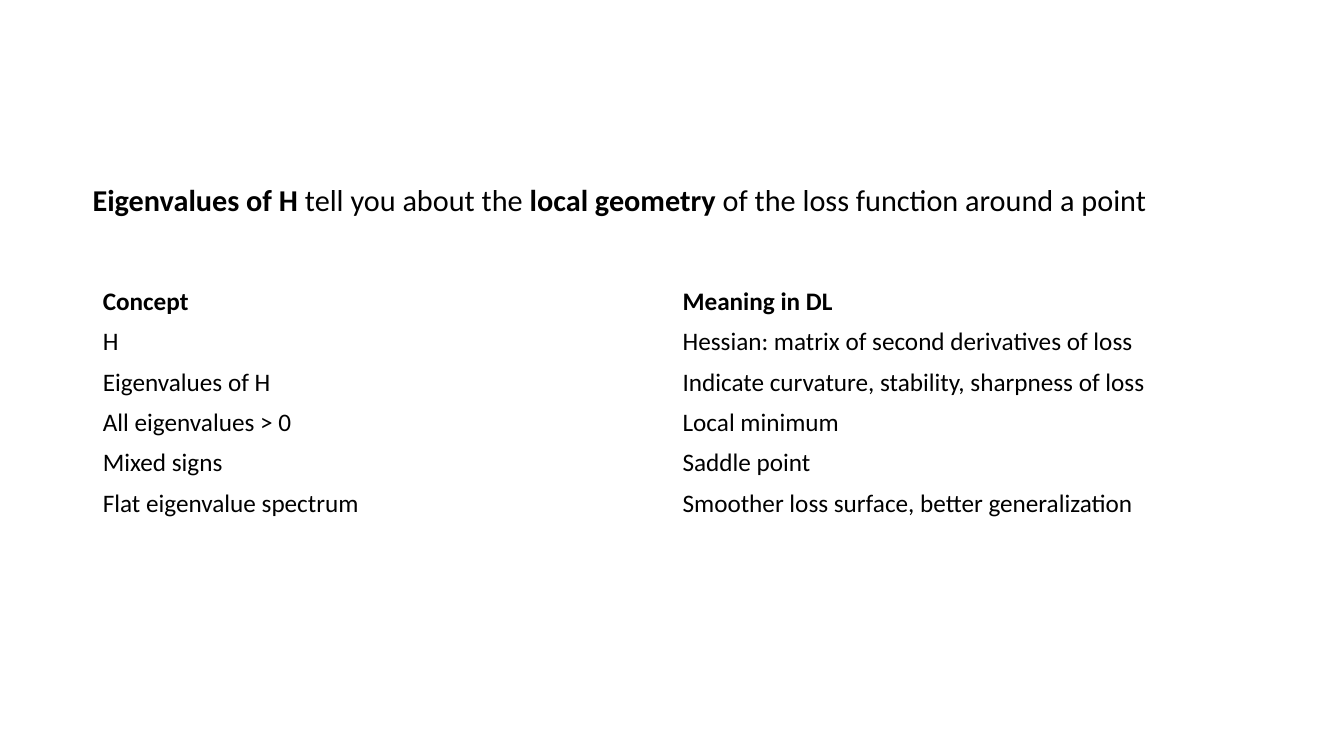
from dataclasses import dataclass

from pptx import Presentation
from pptx.dml.color import RGBColor
from pptx.enum import text
from pptx.slide import Slide
from pptx.text.text import Font
from pptx.util import Inches, Pt

BLACK = "000000"


@dataclass(frozen=True)
class Phrase:
    words: str
    bold: bool = False


@dataclass(frozen=True)
class Entry:
    concept: str
    meaning: str


HEADLINE = (
    Phrase("Eigenvalues of H", True),
    Phrase(" tell you about the "),
    Phrase("local geometry", True),
    Phrase(" of the loss function around a point"),
)
ENTRIES = (
    Entry("Concept", "Meaning in DL"),
    Entry("H", "Hessian: matrix of second derivatives of loss"),
    Entry("Eigenvalues of H", "Indicate curvature, stability, sharpness of loss"),
    Entry("All eigenvalues > 0", "Local minimum"),
    Entry("Mixed signs", "Saddle point"),
    Entry("Flat eigenvalue spectrum", "Smoother loss surface, better generalization"),
)


def style_font(font: Font, size: float, color: str) -> None:
    font.name = "Calibri"
    font.size = Pt(size)
    font.color.rgb = RGBColor.from_string(color)


def add_headline(page: Slide, phrases: tuple[Phrase, ...]) -> None:
    box = page.shapes.add_textbox(Inches(0.82), Inches(1.67), Inches(11.5), Inches(0.66))
    frame = box.text_frame
    frame.word_wrap = True
    frame.vertical_anchor = text.MSO_ANCHOR.MIDDLE
    para = frame.paragraphs[0]
    para.line_spacing = 0.9
    style_font(para.font, 21.6, BLACK)
    for phrase in phrases:
        span = para.add_run()
        span.text = phrase.words
        span.font.bold = phrase.bold


def add_concept_table(page: Slide, entries: tuple[Entry, ...]) -> None:
    table = page.shapes.add_table(
        len(entries), 2, Inches(0.92), Inches(2.79), Inches(11.5), Inches(0.4 * len(entries))
    ).table
    table.first_row = False
    table.horz_banding = False
    for row, entry in enumerate(entries):
        for column, words in enumerate((entry.concept, entry.meaning)):
            cell = table.cell(row, column)
            cell.fill.background()
            cell.vertical_anchor = text.MSO_ANCHOR.MIDDLE
            cell.text = words
            font = cell.text_frame.paragraphs[0].font
            style_font(font, 18, BLACK)
            font.bold = row == 0


def main() -> None:
    deck = Presentation()
    deck.slide_width, deck.slide_height = Inches(13.33), Inches(7.5)
    page = deck.slides.add_slide(deck.slide_layouts[6])
    add_headline(page, HEADLINE)
    add_concept_table(page, ENTRIES)
    deck.save("out.pptx")


if __name__ == "__main__":
    main()
